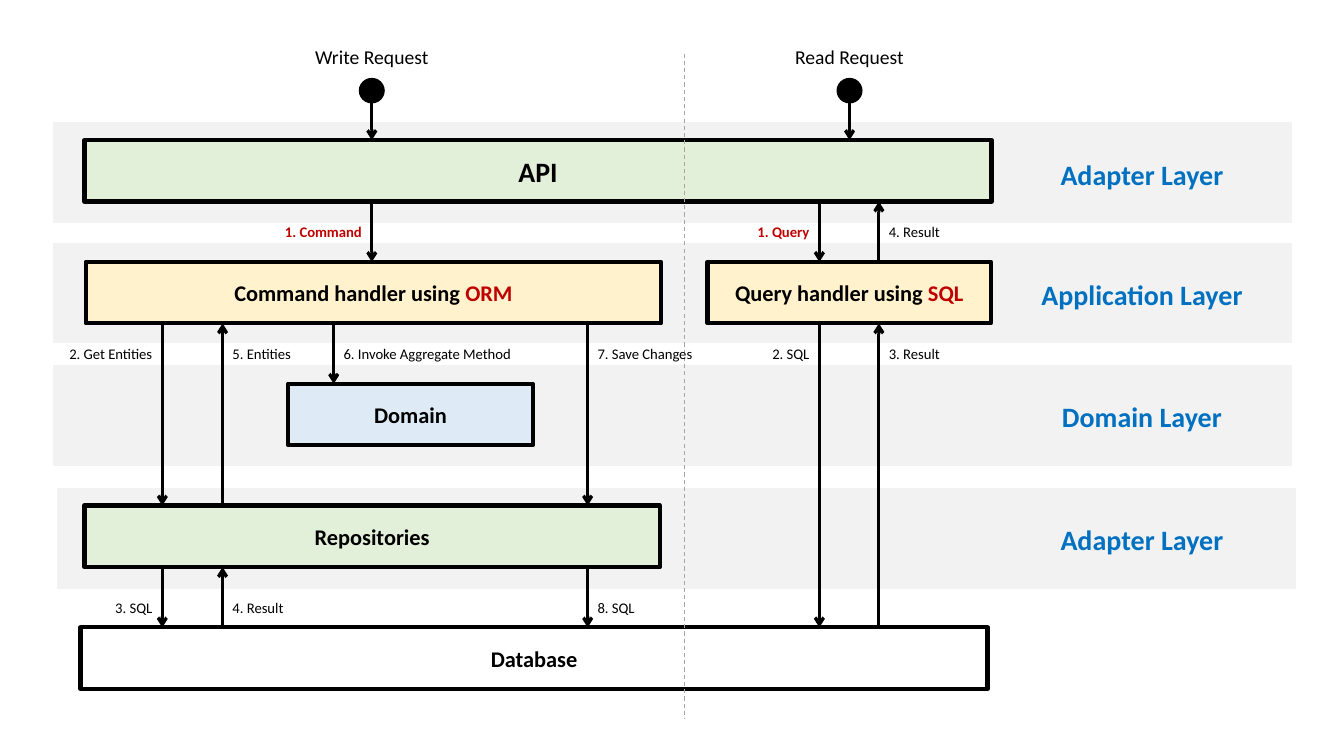
import pptx
import pptx.util
import pptx.dml.color
import pptx.enum.dml
import pptx.enum.shapes
import pptx.enum.text
import pptx.oxml
import pptx.oxml.ns

Cm, Pt = pptx.util.Cm, pptx.util.Pt
SHAPE = pptx.enum.shapes.MSO_SHAPE
ALIGN = pptx.enum.text.PP_ALIGN

STEP = 3.07  # from one row of boxes to the next
TALL = 1.55  # height of a box
GREEN, CREAM, BLUE, RED = "E2F0D9", "FFF2CC", "DEEBF7", "C00000"


def tint(code):
    return pptx.dml.color.RGBColor.from_string(code)


def write(frame, text, size=10.5, color="000000", bold=False,
          align=ALIGN.CENTER, accent=""):
    """Fill a frame with one line; the accent follows it in red."""
    frame.word_wrap = False
    frame.vertical_anchor = pptx.enum.text.MSO_ANCHOR.MIDDLE
    para = frame.paragraphs[0]
    para.alignment = align
    for part, hue in ((text, color), (accent, RED)):
        if part:
            run = para.add_run()
            run.text = part
            font = run.font
            font.name, font.size, font.bold = "Calibri", Pt(size), bold
            font.color.rgb = tint(hue)


def label(slide, x, y, w, h, text, **style):
    box = slide.shapes.add_textbox(Cm(x), Cm(y), Cm(w), Cm(h))
    write(box.text_frame, text, **style)


def block(slide, kind, x, y, w, h, fill, edge="000000", width=1):
    shape = slide.shapes.add_shape(kind, Cm(x), Cm(y), Cm(w), Cm(h))
    shape.shadow.inherit = False
    if fill:
        shape.fill.solid()
        shape.fill.fore_color.rgb = tint(fill)
    else:
        shape.fill.background()
    shape.line.color.rgb = tint(edge)
    shape.line.width = Pt(width)
    return shape


def node(slide, x, y, w, text, fill, size=16, accent=""):
    shape = block(slide, SHAPE.RECTANGLE, x, y, w, TALL, fill, width=3)
    write(shape.text_frame, text, size=size, bold=True, accent=accent)


def rule(slide, x, top, end, color="000000", width=2.25, tip=None):
    """Draw an upright line; tip is headEnd (up) or tailEnd (down)."""
    line = slide.shapes.add_connector(
        pptx.enum.shapes.MSO_CONNECTOR.STRAIGHT, Cm(x), Cm(top), Cm(x), Cm(end))
    line.line.color.rgb = tint(color)
    line.line.width = Pt(width)
    props = line._element.spPr
    if tip:
        mark = pptx.oxml.parse_xml(
            f'<a:{tip} {pptx.oxml.ns.nsdecls("a")} type="arrow"/>')
        line.line._get_or_add_ln().append(mark)
    props.append(pptx.oxml.parse_xml(
        f'<a:effectLst {pptx.oxml.ns.nsdecls("a")}/>'))
    return line


def layer(slide, x, y, w, h, name):
    block(slide, SHAPE.RECTANGLE, x, y, w, h, "F2F2F2", edge="F2F2F2")
    label(slide, 25.98, y + (h - 1.12) / 2 + 0.03, 5.6, 1.12, name,
          size=20, color="0070C0", bold=True)


def shared(slide, x, y, w):
    node(slide, x, y, w, "API", GREEN, size=20)
    node(slide, x - 0.1, y + 4 * STEP, w, "Database", None)


def side(slide, x, y, title, port, nodes, flows):
    """Place one request path; y is the top of its first row."""
    # Request dot above the API
    mid = x + port
    label(slide, mid - 1.7, y - 2.54, 3.4, 0.86, title, size=14)
    block(slide, SHAPE.OVAL, mid - 0.31, y - 1.55, 0.62, 0.61, "000000")
    rule(slide, mid, y - 0.96, y, tip="tailEnd")

    # Arrows between rows, each with its label beside the upper end
    for dx, start, stop, up, text, w, left, hot in flows:
        top, end = y + start * STEP + TALL, y + stop * STEP
        rule(slide, x + dx, top, end, tip="headEnd" if up else "tailEnd")
        drop = 0.67 if start == 3 else 0.41
        at = x + dx - w if left else x + dx
        label(slide, at, top + drop, w, 0.71, text,
              align=ALIGN.RIGHT if left else ALIGN.LEFT,
              color=RED if hot else "000000", bold=hot)

    for dx, row, w, text, accent, fill in nodes:
        node(slide, x + dx, y + row * STEP, w, text, fill, accent=accent)


# Left offset, row, width, text, red ending, fill
WRITE_NODES = [
    (0.03, 1, 14.5, "Command handler using ", "ORM", CREAM),
    (5.13, 2, 6.17, "Domain", "", BLUE),
    (0, 3, 14.5, "Repositories", "", GREEN),
]
READ_NODES = [(0, 1, 7.14, "Query handler using ", "SQL", CREAM)]

# Offset, from row, to row, upward, label, label width, on the left, red
WRITE_FLOWS = [
    (7.24, 0, 1, False, "1. Command", 2.56, True, True),
    (1.96, 1, 3, False, "2. Get Entities", 2.64, True, False),
    (1.96, 3, 4, False, "3. SQL", 1.47, True, False),
    (3.48, 3, 4, True, "4. Result", 1.83, False, False),
    (3.48, 1, 3, True, "5. Entities", 2, False, False),
    (6.28, 1, 2, False, "6. Invoke Aggregate Method", 4.85, False, False),
    (12.68, 1, 3, False, "7. Save Changes", 2.95, False, False),
    (12.68, 3, 4, False, "8. SQL", 1.47, False, False),
]
READ_FLOWS = [
    (2.82, 0, 1, False, "1. Query", 1.88, True, True),
    (2.82, 1, 4, False, "2. SQL", 1.47, True, False),
    (4.32, 1, 4, True, "3. Result", 1.83, False, False),
    (4.32, 0, 1, True, "4. Result", 1.83, False, False),
]


def main():
    deck = pptx.Presentation()
    deck.slide_width, deck.slide_height = Cm(33.87), Cm(19.05)
    slide = deck.slides.add_slide(deck.slide_layouts[6])

    # Grey bands
    for x, y, name in ((1.35, 3.1, "Adapter Layer"),
                       (1.35, 6.13, "Application Layer"),
                       (1.35, 9.22, "Domain Layer"),
                       (1.45, 12.32, "Adapter Layer")):
        layer(slide, x, y, 31.2, 2.5, name)

    # Boxes that span both paths, and the line that parts them
    first = 3.53
    shared(slide, 2.13, first, 22.86)
    split = rule(slide, 17.25, 1.35, 18.11, color="A6A6A6", width=0.75)
    split.line.dash_style = pptx.enum.dml.MSO_LINE.DASH

    side(slide, 2.13, first, "Write Request", 7.24, WRITE_NODES, WRITE_FLOWS)
    side(slide, 17.83, first, "Read Request", 3.58, READ_NODES, READ_FLOWS)
    deck.save("out.pptx")


if __name__ == "__main__":
    main()
